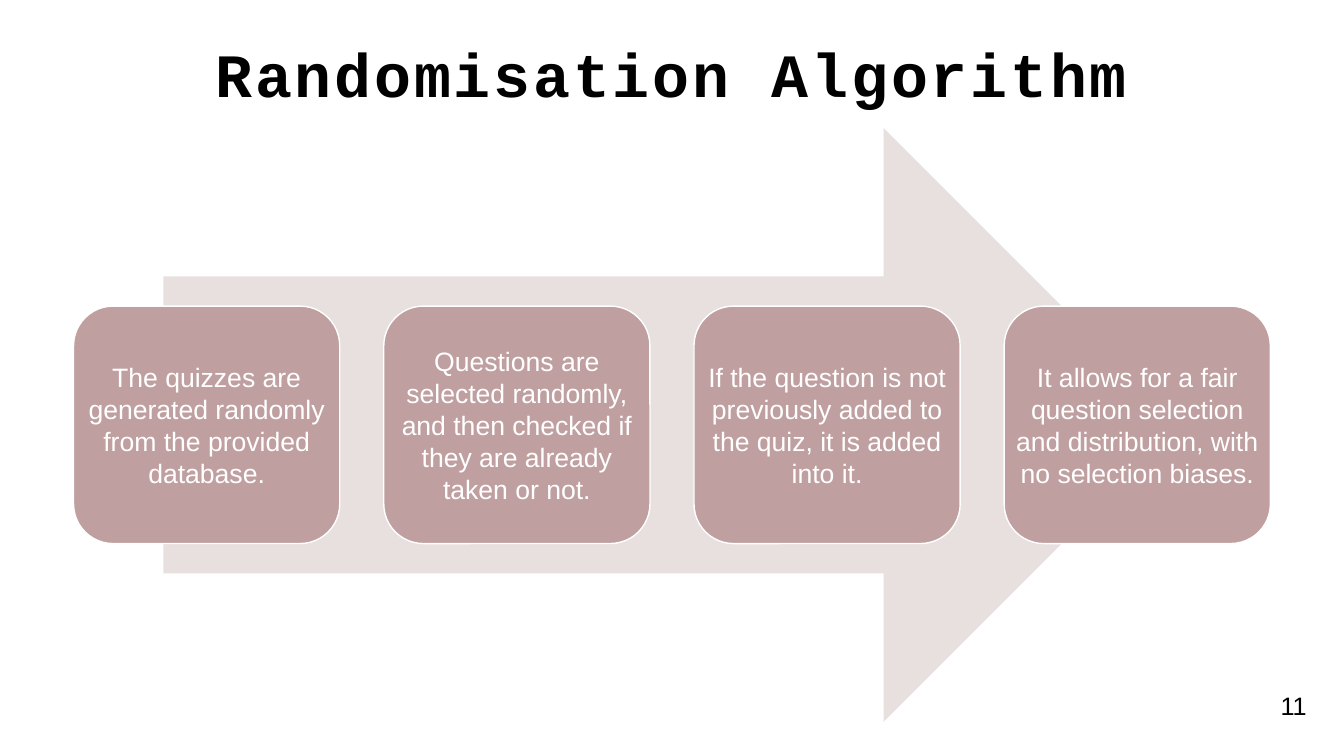
from pptx import Presentation
from pptx.dml.color import RGBColor
from pptx.enum.shapes import MSO_SHAPE as Shape
from pptx.enum.text import MSO_ANCHOR as Anchor, PP_ALIGN as Align
from pptx.util import Inches, Pt

STEPS = [
    "The quizzes are generated randomly from the provided database.",
    "Questions are selected randomly, and then checked if they are already taken or not.",
    "If the question is not previously added to the quiz, it is added into it.",
    "It allows for a fair question selection and distribution, with no selection biases.",
]


def paint(color, hue):
    """Set a colour from a hex string."""
    color.rgb = RGBColor.from_string(hue)


def write(shape, text, size, hue, face="Arial", bold=False, pad=(0.1, 0.05)):
    """Fill a shape with one centred paragraph and return the paragraph."""
    frame = shape.text_frame
    frame.word_wrap = True
    frame.vertical_anchor = Anchor.MIDDLE
    frame.margin_left = frame.margin_right = Inches(pad[0])
    frame.margin_top = frame.margin_bottom = Inches(pad[1])
    para = frame.paragraphs[0]
    para.text = text
    para.alignment = Align.CENTER
    font = para.font
    font.size, font.name, font.bold = Pt(size), face, bold
    paint(font.color, hue)
    return para


def block(slide, kind, box, fill):
    """Draw a flat filled shape without an outline."""
    shape = slide.shapes.add_shape(kind, *map(Inches, box))
    shape.shadow.inherit = False
    shape.fill.solid()
    paint(shape.fill.fore_color, fill)
    shape.line.fill.background()
    return shape


def title(slide, text, box):
    """Write the slide title in spaced bold type."""
    para = write(slide.shapes.add_textbox(*map(Inches, box)), text, 44,
                 "000000", "Courier New", True)
    para.runs[0].font._element.set("spc", "200")


def flow(slide, steps, box):
    """Spread the step cards evenly over a wide arrow."""
    left, top, width, height = box
    inset = width * 0.075
    block(slide, Shape.RIGHT_ARROW,
          (left + inset, top, width - 2 * inset, height), "E8DFDF")
    wide, tall = 2.64, height * 0.4
    pitch = (width - wide) / (len(steps) - 1)
    for i, step in enumerate(steps):
        card = block(slide, Shape.ROUNDED_RECTANGLE,
                     (left + i * pitch, top + (height - tall) / 2, wide, tall),
                     "BF9F9F")
        paint(card.line.color, "FFFFFF")
        card.line.width = Pt(1)
        write(card, step, 19, "FFFFFF", pad=(0, 0))


def number(slide, text, box):
    """Write the page number."""
    write(slide.shapes.add_textbox(*map(Inches, box)), text, 18, "000000")


def main():
    """Build and save the slide."""
    deck = Presentation()
    deck.slide_width, deck.slide_height = Inches(13.33), Inches(7.5)
    slide = deck.slides.add_slide(deck.slide_layouts[6])
    title(slide, "Randomisation Algorithm", (0.73, 0.48, 11.87, 0.48))
    flow(slide, STEPS, (0.73, 1.27, 11.87, 5.89))
    number(slide, "11", (12.59, 6.8, 0.48, 0.4))
    deck.save("out.pptx")


if __name__ == "__main__":
    main()
